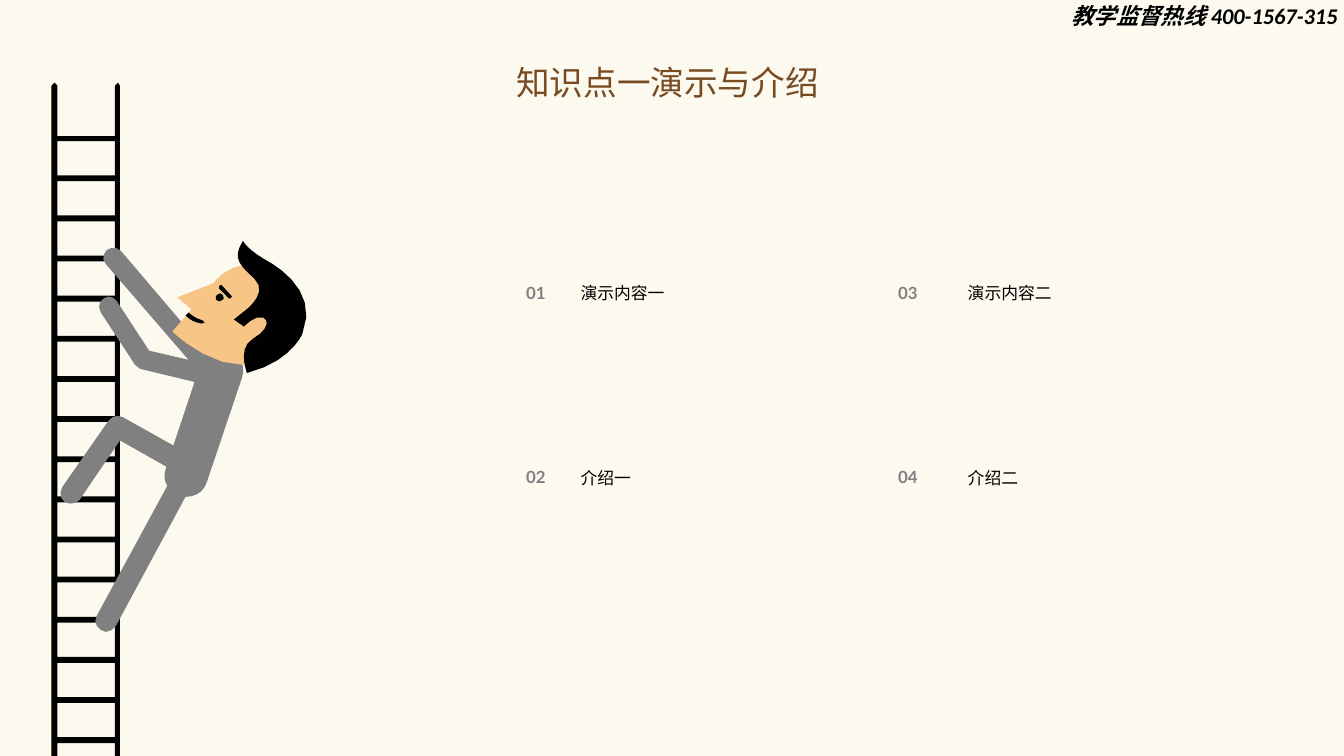
from dataclasses import dataclass
from math import dist
from lxml.etree import SubElement
from pptx import Presentation
from pptx.dml.color import RGBColor
from pptx.enum.text import MSO_ANCHOR, MSO_AUTO_SIZE, PP_ALIGN
from pptx.oxml.ns import qn
from pptx.util import Inches, Pt


@dataclass(frozen=True)
class Theme:
    cream: str = "FCF9EF"
    brown: str = "784B23"
    black: str = "000000"
    ink: str = "010101"
    grey: str = "808080"
    skin: str = "F7C586"
    han: str = "Noto Sans CJK SC"
    digit: str = "Lato"
    latin: str = "Calibri"
    title: int = 24
    phone: int = 16
    label: int = 12


theme = Theme()
deck = Presentation()
deck.slide_width, deck.slide_height = Inches(13.33), Inches(7.5)
slide = deck.slides.add_slide(deck.slide_layouts[5])
slide.background.fill.solid()
slide.background.fill.fore_color.rgb = RGBColor.from_string(theme.cream)


def write(text, box, size, color=theme.black, font=theme.han, bold=False, italic=False,
          align=PP_ALIGN.LEFT, anchor=MSO_ANCHOR.TOP, pad=(0.1, 0.05), gap=None,
          fit=MSO_AUTO_SIZE.SHAPE_TO_FIT_TEXT, shape=None):
    place = [Inches(v) for v in box]
    shape = shape or slide.shapes.add_textbox(*place)
    shape.left, shape.top, shape.width, shape.height = place
    frame = shape.text_frame
    frame.word_wrap, frame.auto_size, frame.vertical_anchor = True, fit, anchor
    frame.margin_left = frame.margin_right = Inches(pad[0])
    frame.margin_top = frame.margin_bottom = Inches(pad[1])
    line = frame.paragraphs[0]
    line.alignment, line.line_spacing = align, gap
    run = line.add_run()
    run.text = text
    run.font.name, run.font.size = font, Pt(size)
    run.font.bold, run.font.italic = bold, italic
    run.font.color.rgb = RGBColor.from_string(color)
    SubElement(run.font._element, qn("a:ea")).set("typeface", theme.han)


def draw(group, loops, color):
    pen = None
    for loop in loops:
        dots = [loop[0]]
        for step in loop[1:]:
            if len(step) == 2:
                dots.append(step)
                continue
            ends = [dots[-1], step[:2], step[2:4], step[4:]]
            count = max(1, min(7, round(dist(ends[0], ends[3]) * 20)))
            for k in range(1, count + 1):
                t = k / count
                parts = ((1 - t) ** 3, 3 * t * (1 - t) ** 2, 3 * t * t * (1 - t), t ** 3)
                dots.append(tuple(sum(w * p[a] for w, p in zip(parts, ends)) for a in (0, 1)))
        dots = [(Inches(x), Inches(y)) for x, y in dots]
        if pen is None:
            pen = group.shapes.build_freeform(*dots[0], scale=1.0)
        else:
            pen.move_to(*dots[0])
        pen.add_line_segments(dots[1:], close=True)
    shape = pen.convert_to_shape()
    shape.shadow.inherit = False
    shape.fill.solid()
    shape.fill.fore_color.rgb = RGBColor.from_string(color)
    shape.line.fill.background()


write("教学监督热线 400-1567-315", (10.53, 0, 2.88, 0.39), theme.phone, font=theme.latin,
      bold=True, italic=True, gap=0.9, fit=MSO_AUTO_SIZE.NONE)

scene = slide.shapes.add_group_shape()
ladder = [[
    (0.51, 0.85), (0.54, 0.82), (0.57, 0.85), (0.57, 1.35),
    (1.14, 1.35), (1.14, 0.85), (1.17, 0.82), (1.19, 0.85),
    (1.19, 8.63), (1.51, 8.63), (1.51, 8.69), (1.14, 8.69), (1.14, 8.17),
    (0.57, 8.17), (0.57, 8.69), (0.2, 8.69), (0.2, 8.63), (0.51, 8.63),
]]
count, first, last, tall = 17, 1.4, 7.77, 0.34
for i in range(count):
    top = first + i * (last - first) / (count - 1)
    ladder.append([(0.57, top), (1.14, top), (1.14, top + tall), (0.57, top + tall)])

body = [
    (2.26, 3.47), (2.19, 3.45, 2.12, 3.47, 2.06, 3.5),
    (1.2, 2.49), (1.16, 2.45, 1.1, 2.45, 1.06, 2.48), (1.02, 2.52, 1.01, 2.58, 1.05, 2.62),
    (1.87, 3.57), (1.48, 3.48),
    (1.16, 2.99), (1.13, 2.94, 1.07, 2.93, 1.03, 2.96), (0.98, 2.99, 0.97, 3.05, 1, 3.1),
    (1.34, 3.62), (1.39, 3.66), (1.93, 3.79), (1.72, 4.42),
    (1.22, 4.14), (1.17, 4.11, 1.11, 4.13, 1.08, 4.17),
    (0.62, 4.83), (0.59, 4.88, 0.59, 4.94, 0.64, 4.98), (0.69, 5.01, 0.76, 5, 0.79, 4.96),
    (1.19, 4.37), (1.65, 4.63), (1.62, 4.71, 1.63, 4.78, 1.66, 4.82),
    (0.96, 6.11), (0.93, 6.16, 0.95, 6.22, 1, 6.25), (1.05, 6.27),
    (1.09, 6.27, 1.13, 6.24, 1.15, 6.21), (1.84, 4.93),
    (1.94, 4.93, 2.02, 4.88, 2.05, 4.79), (2.4, 3.75), (2.44, 3.63, 2.38, 3.51, 2.26, 3.47),
]
face = [
    (2.12, 2.81), (2.15, 2.77),
    (2.32, 2.59, 2.61, 2.57, 2.79, 2.74), (3.02, 2.95, 3.03, 3.22, 2.86, 3.41),
    (2.38, 3.95, 1.71, 3.29, 1.71, 3.29), (1.9, 3.07), (1.76, 2.95),
]
hair = [
    (2.42, 3.09), (2.42, 3.09, 2.68, 2.91, 2.52, 2.76), (2.36, 2.62, 2.31, 2.55, 2.41, 2.39),
    (2.41, 2.39, 2.45, 2.47, 2.62, 2.57), (2.79, 2.66, 3.16, 2.91, 3, 3.31),
    (3, 3.31, 2.89, 3.59, 2.45, 3.7), (2.45, 3.7, 2.35, 3.45, 2.51, 3.36),
    (2.65, 3.28, 2.68, 3.18, 2.61, 3.15), (2.53, 3.12, 2.42, 3.24, 2.42, 3.24), (2.32, 3.17),
]
eye = [(2.16, 2.92), (2.14, 2.94), (2.14, 2.97), (2.17, 2.99), (2.2, 2.98), (2.22, 2.96), (2.21, 2.93), (2.19, 2.91)]
brow = [(2.18, 2.83), (2.17, 2.86), (2.27, 2.96), (2.29, 2.96), (2.3, 2.94), (2.2, 2.83)]
mouth = [
    (2.03, 3.2), (2.01, 3.18), (1.94, 3.16, 1.89, 3.12, 1.87, 3.1),
    (1.84, 3.13), (1.88, 3.17, 1.93, 3.2, 2, 3.21),
]
draw(scene, ladder, theme.ink)
for part, color in ((body, theme.grey), (face, theme.skin), (hair, theme.ink),
                    (eye, theme.ink), (brow, theme.ink), (mouth, theme.ink)):
    draw(scene, [part], color)

write("知识点一演示与介绍", (4.42, 0.56, 4.4, 0.5), theme.title, color=theme.brown,
      align=PP_ALIGN.CENTER, shape=slide.shapes.title)

labels = ["演示内容一", "介绍一", "演示内容二", "介绍二"]
columns = [(4.86, 5.66), (8.55, 9.5)]
for i, label in enumerate(labels):
    left, right = columns[i // 2]
    top = 2.75 + i % 2 * 1.83
    write(f"{i + 1:02d} ", (left, top + 0.03, 0.95, 0.24), theme.label, color=theme.grey,
          font=theme.digit, bold=True, align=PP_ALIGN.CENTER, anchor=MSO_ANCHOR.MIDDLE,
          pad=(0.05, 0.03), gap=Pt(15))
    write(label, (right, top, 3.2, 0.3), theme.label, gap=Pt(15))

deck.save("out.pptx")
